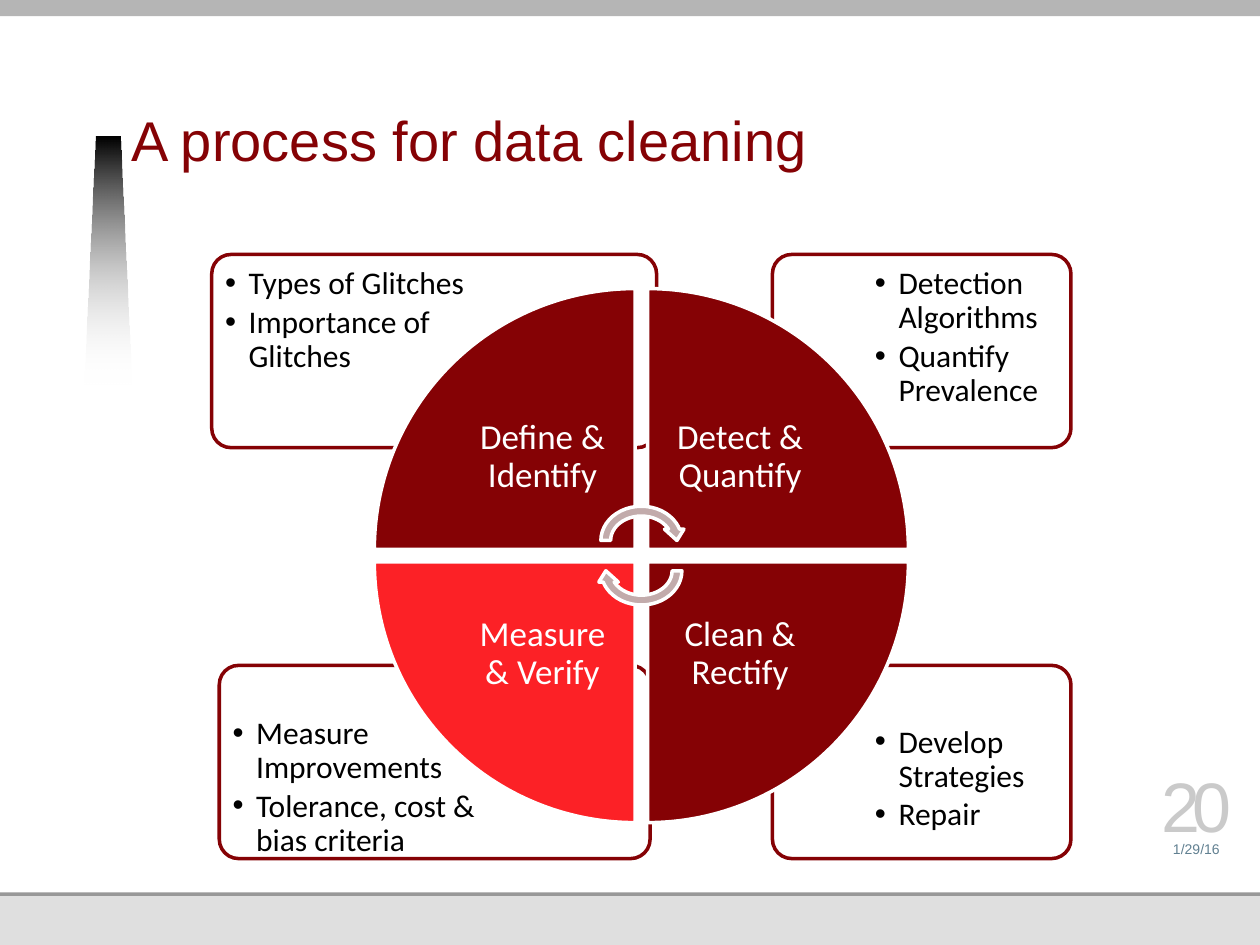
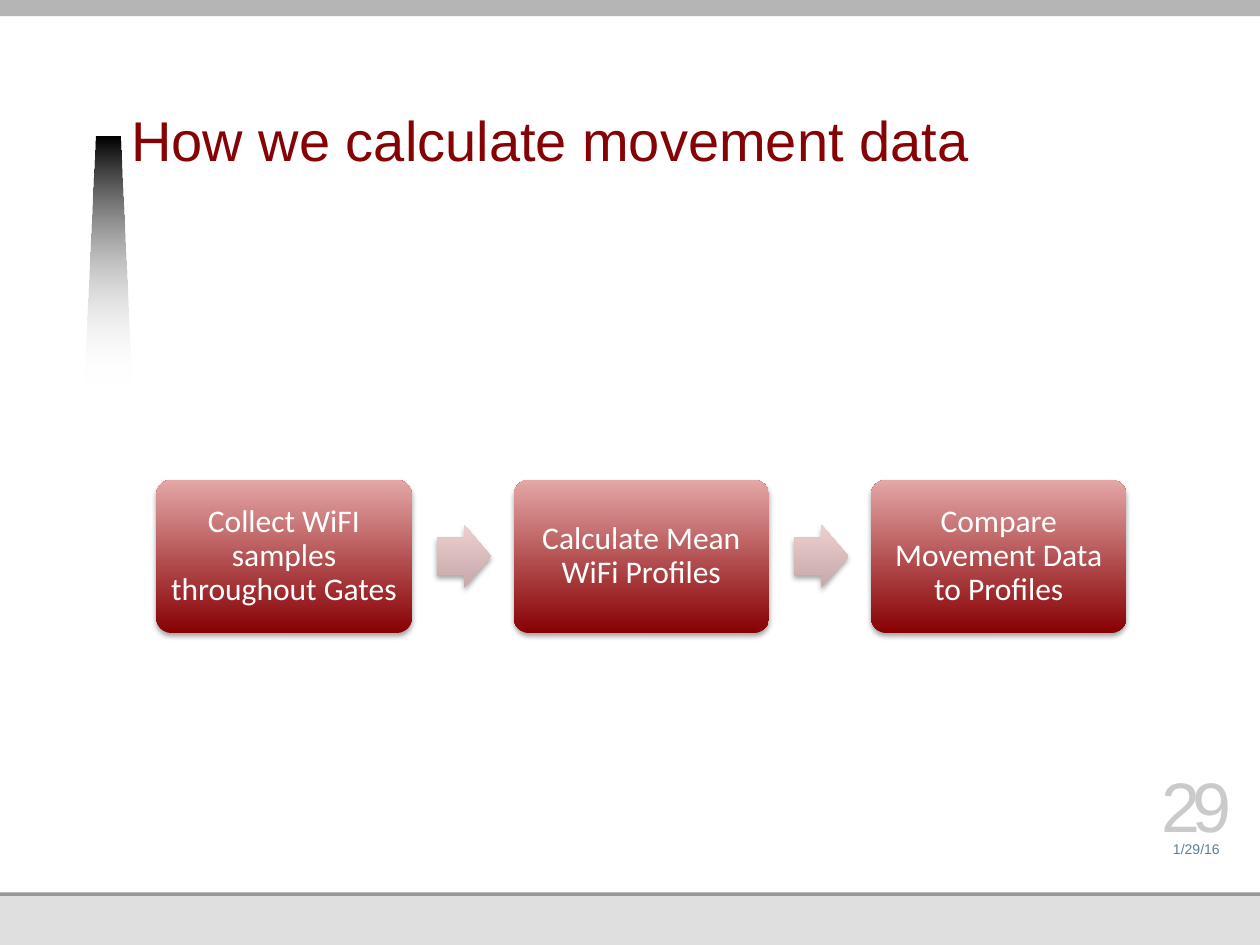
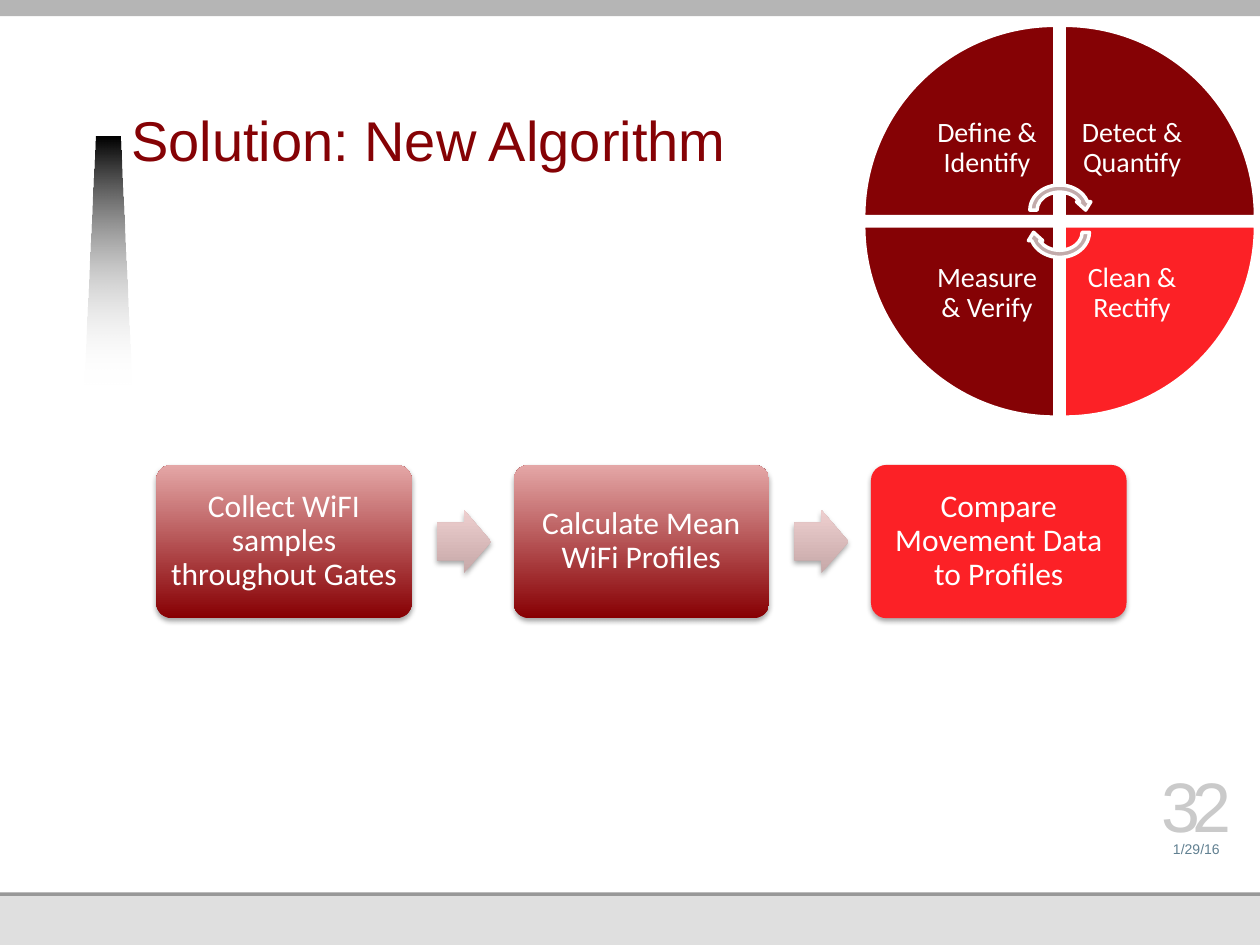
"""Builds three slides on data cleaning and movement data."""
import pptx
import pptx.dml.color
import pptx.enum.shapes
import pptx.enum.text
import pptx.oxml
import pptx.oxml.ns
import pptx.util

Pt = pptx.util.Pt
RGB = pptx.dml.color.RGBColor
KIND = pptx.enum.shapes.MSO_SHAPE
ALIGN = pptx.enum.text.PP_ALIGN
ANCHOR = pptx.enum.text.MSO_ANCHOR
qn = pptx.oxml.ns.qn

WINE = RGB(0x85, 0x02, 0x05)
RED = RGB(0xFC, 0x21, 0x26)
WHITE = RGB(0xFF, 0xFF, 0xFF)
BLACK = RGB(0, 0, 0)
ROSE = RGB(0xC2, 0xAB, 0xAB)
PALE = RGB(0xDF, 0xDF, 0xDF)
GRAY = RGB(0x98, 0x98, 0x98)
BAND = RGB(0xB5, 0xB5, 0xB5)
SLATE = RGB(0x61, 0x80, 0x91)
SILVER = RGB(0xCA, 0xCA, 0xCA)
BOX_FADE = (RGB(0x87, 0, 0x03), RGB(0xE4, 0xA7, 0xA7))
ARROW_FADE = (RGB(0xC6, 0xA8, 0xA8), RGB(0xEE, 0xCF, 0xCF))

ROUND = 0.1
TURNS = ["Define & Identify", "Detect & Quantify", "Clean & Rectify", "Measure & Verify"]
STEPS = ["Collect WiFI samples throughout Gates", "Calculate Mean WiFi Profiles",
         "Compare Movement Data to Profiles"]


def node(parent, tag, **attrs):
    """Add a drawing element to a parent and return it."""
    child = parent.makeelement(qn(tag), {key: str(val) for key, val in attrs.items()})
    parent.append(child)
    return child


def write(shape, lines, size=18, font="Calibri", color=WHITE, align=ALIGN.CENTER,
          anchor=ANCHOR.MIDDLE, inset=(0, 0, 0, 0), lead=None, after=0, track=0, indent=0):
    """Set the text of a shape, one paragraph a line; an indent gives bullets."""
    frame = shape.text_frame
    frame.word_wrap = True
    frame.vertical_anchor = anchor
    (frame.margin_left, frame.margin_top,
     frame.margin_right, frame.margin_bottom) = [Pt(edge) for edge in inset]
    for i, line in enumerate(lines):
        para = frame.add_paragraph() if i else frame.paragraphs[0]
        para.alignment = align
        para.space_after = Pt(after)
        if lead:
            para.line_spacing = lead
        if indent:
            props = para._p.get_or_add_pPr()
            props.set("marL", str(Pt(indent)))
            props.set("indent", str(-Pt(indent)))
            node(props, "a:buFont", typeface="Arial")
            node(props, "a:buChar", char="•")
        run = para.add_run()
        run.text = line
        run.font.name, run.font.size = font, Pt(size)
        run.font.color.rgb = color
        if track:
            run.font._element.set("spc", str(track * 100))


def label(slide, left, top, width, height, lines, **style):
    """Add a text box."""
    box = slide.shapes.add_textbox(Pt(left), Pt(top), Pt(width), Pt(height))
    write(box, lines, **style)


def paint(shape, fill, angle=90):
    """Fill a shape with a colour or a two-colour fade, with no line or shadow."""
    shape.shadow.inherit = False
    shape.line.fill.background()
    if isinstance(fill, RGB):
        shape.fill.solid()
        shape.fill.fore_color.rgb = fill
    else:
        shape.fill.gradient()
        shape.fill.gradient_angle = angle
        for stop, color in zip(shape.fill.gradient_stops, fill):
            stop.color.rgb = color


def add(slide, kind, left, top, width, height, fill, line=None, turn=0):
    """Add a preset shape."""
    shape = slide.shapes.add_shape(kind, Pt(left), Pt(top), Pt(width), Pt(height))
    paint(shape, fill)
    shape.rotation = turn
    if line is not None:
        shape.line.color.rgb = line
        shape.line.width = Pt(2)
    return shape


def clear(shape, share):
    """Set the alpha of the last fill colour, in percent."""
    props = shape.element.spPr
    fill = props.find(qn("a:solidFill"))
    if fill is None:
        fill = props.find(qn("a:gradFill"))
    node(list(fill.iter(qn("a:srgbClr")))[-1], "a:alpha", val=share * 1000)


def shade(shape):
    """Drop a soft shadow below a shape."""
    glow = node(shape.element.spPr.find(qn("a:effectLst")), "a:outerShdw",
                blurRad=Pt(3.1), dist=Pt(1.8), dir=5400000, rotWithShape=0)
    node(node(glow, "a:srgbClr", val="000000"), "a:alpha", val=35000)


def start(deck, title, number):
    """Add a slide with bands, beam, title, date and number."""
    slide = deck.slides.add_slide(deck.slide_layouts[6])
    for top, height, color in [(0, 540, PALE), (128, 384, GRAY), (0, 510, WHITE), (0, 9.2, BAND)]:
        add(slide, KIND.RECTANGLE, 0, top, 720, height, color)
    pen = slide.shapes.build_freeform(Pt(48.2), Pt(219.6))
    pen.add_line_segments([(Pt(x), Pt(y)) for x, y in [(54.7, 77.8), (68.4, 77.8), (74.9, 219.6)]])
    beam = pen.convert_to_shape()
    paint(beam, (BLACK, WHITE), angle=270)
    clear(beam, 0)
    label(slide, 75, 24.5, 494.6, 77.8, [title], size=32, font="Arial", color=WINE,
          align=ALIGN.LEFT, anchor=ANCHOR.BOTTOM, inset=(0, 0, 0, 3.6), lead=Pt(34))
    label(slide, 657.4, 473.8, 52.6, 15.8, ["1/29/16"], size=8, font="Arial",
          color=SLATE, anchor=ANCHOR.BOTTOM)
    label(slide, 657.4, 443.5, 52.6, 40.3, [number], size=40, font="Arial",
          color=SILVER, anchor=ANCHOR.BOTTOM, track=-5)
    return slide


def wheel(slide, mid_x, mid_y, side, hot, size):
    """Draw four wedges around a centre, one of them lit, and two turning arrows."""
    gap = side * 0.024
    text = side * 0.71
    for i, (col, row) in enumerate([(0, 0), (1, 0), (1, 1), (0, 1)]):
        left = mid_x + gap if col else mid_x - gap - side
        top = mid_y + gap if row else mid_y - gap - side
        add(slide, KIND.PIE_WEDGE, left, top, side, side,
            RED if i == hot else WINE, WHITE, 90 * i)
        label(slide, left + (1 - col) * (side - text), top + (1 - row) * (side - text),
              text, text, [TURNS[i]], size=size, inset=[side * 0.078] * 4, lead=0.9)
    wide, high = side * 0.348, side * 0.3
    for sign, turn in [(-1, 0), (1, 180)]:
        add(slide, KIND.CIRCULAR_ARROW, mid_x - wide / 2,
            mid_y + sign * side * 0.058 - high / 2, wide, high, ROSE, WHITE, turn)


def note(slide, left, top, width, lines, right=False, low=False, head=5):
    """Add an outlined box with bullets on its outer side."""
    box = add(slide, KIND.ROUNDED_RECTANGLE, left, top, width, 110.4, WHITE, WINE)
    box.adjustments[0] = ROUND
    clear(box, 90)
    text = width * 0.7 - 5
    label(slide, left + width - text - 2.6 if right else left + 2.6,
          top + (29.6 if low else 2.4), text, 78, lines, color=BLACK, align=ALIGN.LEFT,
          anchor=ANCHOR.TOP, inset=(5, head, 5, 5), lead=0.9, after=2.7, indent=13.5)


def flow(slide, mid, hot=None):
    """Draw the steps in a row with arrows between, one step lit if asked."""
    for i, step in enumerate(STEPS):
        left = 89.3 + i * 204.2
        box = add(slide, KIND.ROUNDED_RECTANGLE, left, mid - 43.8, 146, 87.6,
                  RED if i == hot else BOX_FADE)
        box.adjustments[0] = ROUND
        shade(box)
        write(box, [step], inset=(5, 5, 5, 5), lead=0.9)
        if i < len(STEPS) - 1:
            arrow = add(slide, KIND.RIGHT_ARROW, left + 160.4, mid - 18, 31, 36, ARROW_FADE)
            arrow.adjustments[0] = 0.6
            arrow.adjustments[1] = 0.5
            shade(arrow)


def main():
    """Build and save the deck."""
    deck = pptx.Presentation()
    deck.slide_width, deck.slide_height = Pt(720), Pt(540)

    slide = start(deck, "A process for data cleaning", "20")
    upper, lower = 145.4, 380.2
    note(slide, 441.4, lower, 170.6, ["Develop Strategies", "Repair"], right=True, low=True)
    note(slide, 125.3, lower, 246.2, ["Measure Improvements", "Tolerance, cost & bias criteria"],
         low=True, head=0)
    note(slide, 441.4, upper, 170.6, ["Detection Algorithms", "Quantify Prevalence"], right=True)
    note(slide, 121, upper, 254.2, ["Types of Glitches", "Importance of Glitches"])
    wheel(slide, 366.5, 317.5, 149, hot=3, size=20)

    slide = start(deck, "How we calculate movement data", "29")
    flow(slide, 318)

    slide = start(deck, "Solution: New Algorithm", "32")
    wheel(slide, 605.5, 126.4, 109.3, hot=2, size=16)
    flow(slide, 309.5, hot=2)

    deck.save("out.pptx")


main()
